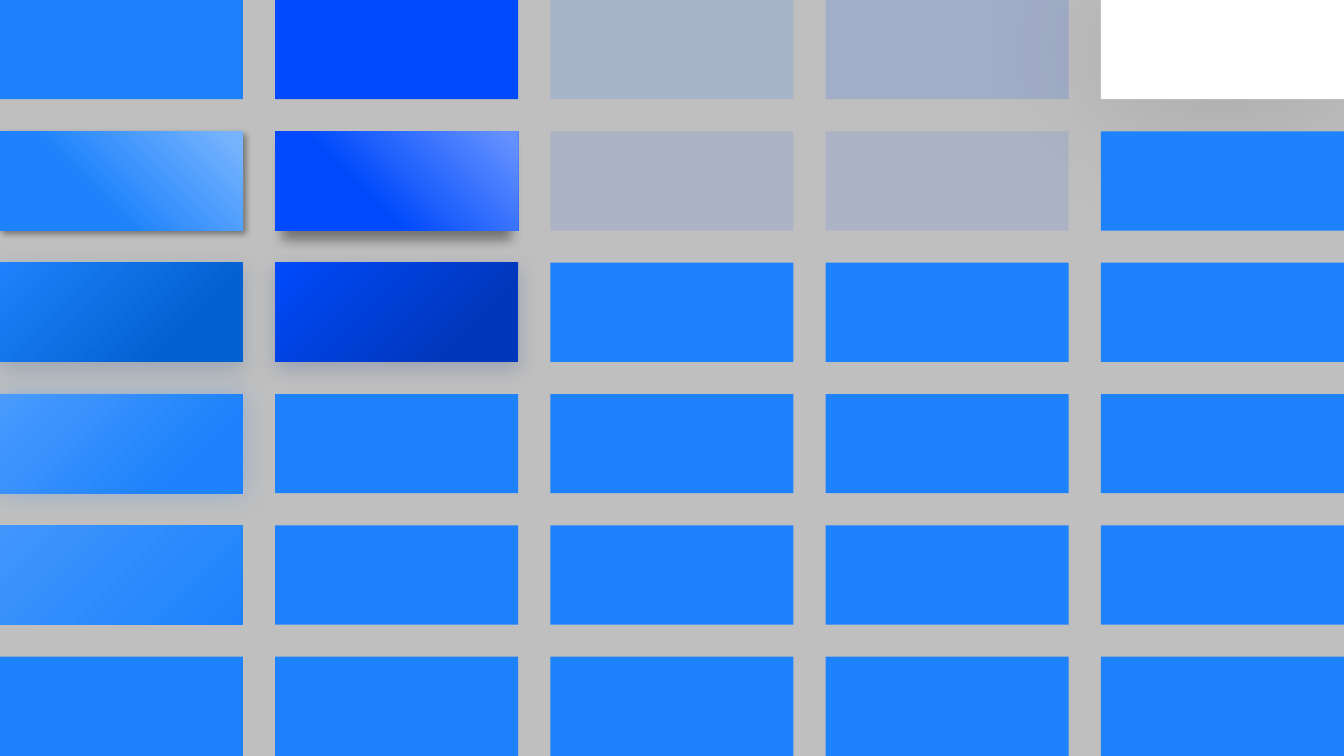
from lxml import etree
from pptx import Presentation
from pptx.dml.color import RGBColor
from pptx.enum.shapes import MSO_SHAPE
from pptx.oxml.ns import qn
from pptx.util import Pt

RECT = MSO_SHAPE.RECTANGLE
SLIDE_W, SLIDE_H = 960, 540
ROWS, COLS = 6, 5
TILE_W, TILE_H = 173.6, 70.9

COLORS = {
    "background": "BFBFBF", "white": "FFFFFF", "black": "000000",
    "sky": "1D82FC", "sky_pale": "77B4FD", "sky_soft": "4A9BFD",
    "sky_mid": "4196FC", "sky_deep": "0360D0", "sky_shade": "02408B",
    "royal": "004AFB", "royal_pale": "6491FF", "royal_deep": "0037BC",
    "royal_shade": "00257E",
}

# Focus of a radial gradient: left, top, right, bottom in percent
TOP_RIGHT = (100, 0, 0, 100)
TOP_LEFT = (0, 0, 100, 100)

# Tiles that differ from plain sky blue, by (column, row).
# stops: (percent, colour); shadow: colour, opacity, blur, distance, angle
TILES = {
    (0, 1): dict(stops=[(4, "sky_pale"), (63, "sky")], focus=TOP_RIGHT,
                 shadow=("black", 40, 5, 3, 45)),
    (0, 2): dict(stops=[(0, "sky"), (76, "sky_deep")], focus=TOP_LEFT,
                 shadow=("sky_shade", 20, 15, 5, 90)),
    (0, 3): dict(stops=[(0, "sky_soft"), (77, "sky")],
                 shadow=("sky", 28, 19.8, 0, 0)),
    (0, 4): dict(stops=[(0, "sky_mid"), (100, "sky")]),
    (1, 0): dict(color="royal"),
    (1, 1): dict(stops=[(4, "royal_pale"), (63, "royal")], focus=TOP_RIGHT,
                 shadow=("black", 40, 9, 9, 90), scale=94),
    (1, 2): dict(stops=[(0, "royal"), (76, "royal_deep")], focus=TOP_LEFT,
                 shadow=("royal_shade", 20, 15, 5, 90)),
    (2, 0): dict(alpha=15),
    (2, 1): dict(color="royal", alpha=10),
    (3, 0): dict(color="royal", alpha=15),
    (3, 1): dict(color="royal", alpha=10),
    (4, 0): dict(color="white", shadow=("black", 14, 100, 0, 0)),
}


def add_element(parent, tag, **attrs):
    return etree.SubElement(parent, qn(tag),
                            {k: str(v) for k, v in attrs.items()})


def add_color(parent, color, alpha=100):
    clr = add_element(parent, "a:srgbClr", val=COLORS[color])
    if alpha < 100:
        add_element(clr, "a:alpha", val=alpha * 1000)


def set_gradient(sp, stops, focus):
    spPr = sp._element.spPr
    grad = add_element(spPr, "a:gradFill", rotWithShape=1)
    gs_list = add_element(grad, "a:gsLst")
    for pos, color in stops:
        add_color(add_element(gs_list, "a:gs", pos=pos * 1000), color)
    if focus:
        sides = {k: v * 1000 for k, v in zip("ltrb", focus)}
        add_element(add_element(grad, "a:path", path="circle"),
                    "a:fillToRect", **sides)
    else:
        add_element(grad, "a:lin", ang=45 * 60000, scaled=0)
    spPr.find(qn("a:prstGeom")).addnext(grad)


def set_shadow(sp, color, alpha, blur, dist, angle, scale):
    effects = sp._element.spPr.find(qn("a:effectLst"))
    shadow = add_element(effects, "a:outerShdw", blurRad=Pt(blur),
                         dist=Pt(dist), dir=angle * 60000, sx=scale * 1000,
                         sy=scale * 1000, algn="ctr", rotWithShape=0)
    add_color(shadow, color, alpha)


def add_tile(slide, x, y, w, h, color="sky", alpha=100, stops=None,
             focus=None, shadow=None, scale=100):
    sp = slide.shapes.add_shape(RECT, Pt(x), Pt(y), Pt(w), Pt(h))
    sp.line.fill.background()
    sp.shadow.inherit = False
    if stops:
        set_gradient(sp, stops, focus)
    else:
        sp.fill.solid()
        sp.fill.fore_color.rgb = RGBColor.from_string(COLORS[color])
        if alpha < 100:
            clr = sp._element.spPr.find(qn("a:solidFill"))[0]
            add_element(clr, "a:alpha", val=alpha * 1000)
    if shadow:
        set_shadow(sp, *shadow, scale)


def add_swatch_grid(slide, x, y, w, h):
    step_x = (w - TILE_W) / (COLS - 1)
    step_y = (h - TILE_H) / (ROWS - 1)
    for col in range(COLS):
        for row in range(ROWS):
            add_tile(slide, x + col * step_x, y + row * step_y,
                     TILE_W, TILE_H, **TILES.get((col, row), {}))


def main():
    prs = Presentation()
    prs.slide_width, prs.slide_height = Pt(SLIDE_W), Pt(SLIDE_H)
    slide = prs.slides.add_slide(prs.slide_layouts[6])

    # Background
    fill = slide.background.fill
    fill.solid()
    fill.fore_color.rgb = RGBColor.from_string(COLORS["background"])

    # Colour swatches fill the whole slide
    add_swatch_grid(slide, 0, 0, SLIDE_W, SLIDE_H)
    prs.save("out.pptx")


if __name__ == "__main__":
    main()
